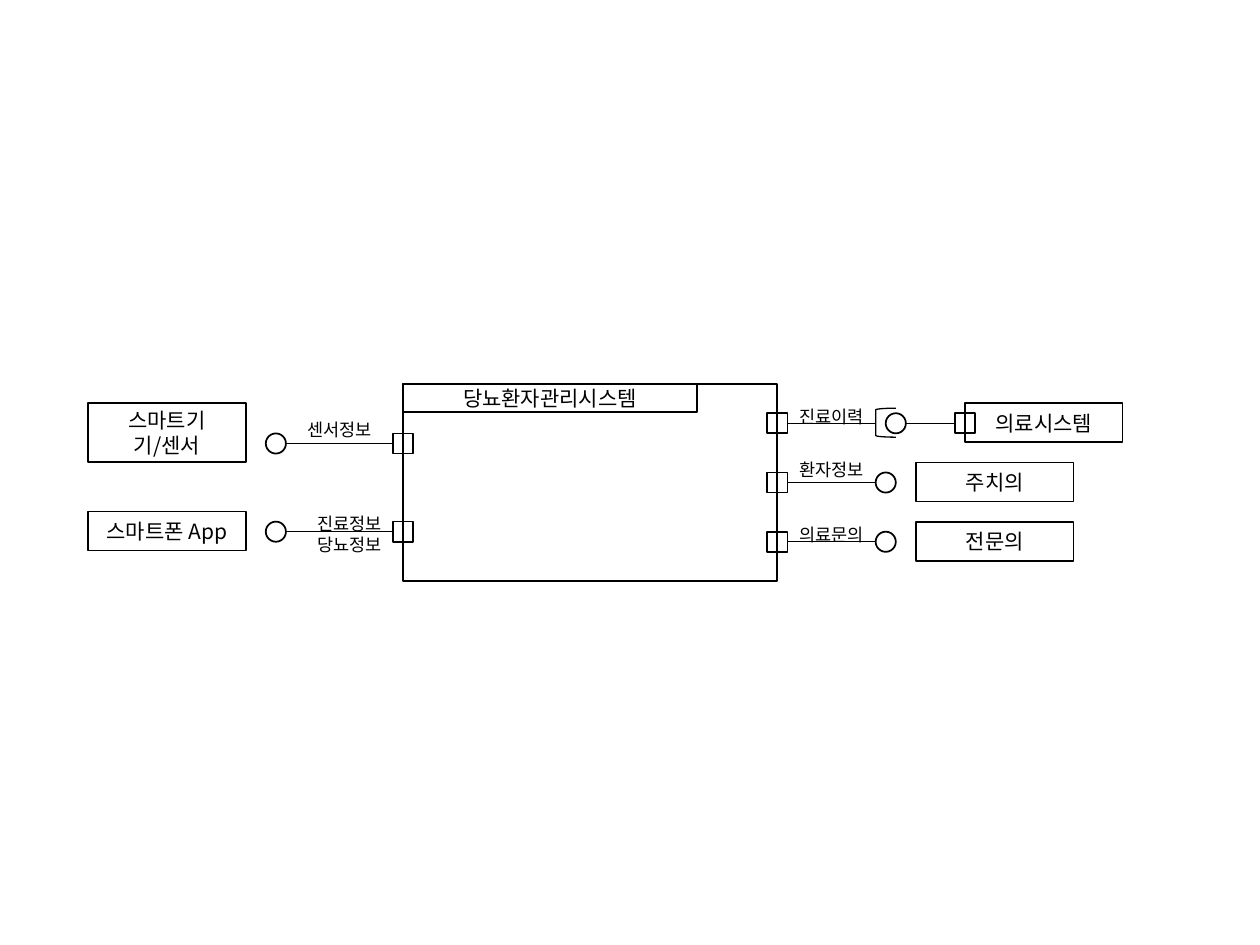
from lxml.etree import SubElement
from pptx import Presentation
from pptx.dml.color import RGBColor
from pptx.enum.shapes import MSO_CONNECTOR as Connector, MSO_SHAPE as Shape
from pptx.enum.text import MSO_ANCHOR as Anchor, MSO_AUTO_SIZE as AutoSize, PP_ALIGN as Align
from pptx.oxml.ns import qn
from pptx.util import Inches, Pt

COLORS = {"ink": "000000"}
FONT = "Noto Sans CJK KR"
NODE = 0.16
LEFT_PORT, RIGHT_PORT = 3.12, 6.09
LEFT_CIRCLE, RIGHT_CIRCLE = 2.11, 6.95


def write_text(frame, text, size=12, align=Align.CENTER, anchor=Anchor.MIDDLE):
    frame.word_wrap = True
    frame.vertical_anchor = anchor
    frame.text = text
    for paragraph in frame.paragraphs:
        paragraph.alignment = align
        for run in paragraph.runs:
            run.font.size = Pt(size)
            run.font.color.rgb = RGBColor.from_string(COLORS["ink"])
            run.font.name = FONT
            SubElement(run.font._element, qn("a:ea"), typeface=FONT)


class Diagram:
    """Draws outlined component-diagram elements on one slide."""

    def __init__(self, slide, color):
        self.shapes = slide.shapes
        self.color = RGBColor.from_string(color)

    def outline(self, kind, left, top, width, height, weight=1):
        shape = self.shapes.add_shape(
            kind, Inches(left), Inches(top), Inches(width), Inches(height))
        shape.shadow.inherit = False
        shape.fill.background()
        shape.line.color.rgb = self.color
        shape.line.width = Pt(weight)
        return shape

    def box(self, text, left, top, width=1.25, height=0.31):
        shape = self.outline(Shape.RECTANGLE, left, top, width, height)
        write_text(shape.text_frame, text)

    def node(self, kind, left, middle):
        self.outline(kind, left, middle - NODE / 2, NODE, NODE)

    def line(self, start, end, middle):
        connector = self.shapes.add_connector(
            Connector.STRAIGHT, Inches(start), Inches(middle), Inches(end), Inches(middle))
        connector.line.color.rgb = self.color
        connector.line.width = Pt(0.75)
        SubElement(connector._element.spPr, qn("a:effectLst"))

    def link(self, circle, port, middle):
        self.node(Shape.OVAL, circle, middle)
        first, second = sorted((circle, port))
        self.line(first + NODE, second, middle)
        self.node(Shape.RECTANGLE, port, middle)

    def label(self, text, left, top, height=0.27):
        box = self.shapes.add_textbox(
            Inches(left), Inches(top), Inches(0.94), Inches(height))
        write_text(box.text_frame, text, size=10, align=Align.LEFT, anchor=Anchor.TOP)
        box.text_frame.auto_size = AutoSize.SHAPE_TO_FIT_TEXT


def main():
    presentation = Presentation()
    presentation.slide_width = Inches(10)
    presentation.slide_height = Inches(7.5)
    slide = presentation.slides.add_slide(presentation.slide_layouts[6])
    diagram = Diagram(slide, COLORS["ink"])

    diagram.outline(Shape.RECTANGLE, 3.2, 3.05, 2.97, 1.56)
    diagram.box("당뇨환자관리시스템", 3.2, 3.05, 2.33, 0.22)

    diagram.box("스마트기기/센서", 0.7, 3.2, height=0.47)
    diagram.box("스마트폰 App", 0.7, 4.06)
    for middle in (3.52, 4.22):
        diagram.link(LEFT_CIRCLE, LEFT_PORT, middle)
    diagram.label("센서정보", 2.34, 3.28)
    diagram.label("진료정보\n당뇨정보", 2.42, 4.02, height=0.44)

    diagram.box("의료시스템", 7.66, 3.2)
    diagram.link(7.03, 7.58, 3.36)
    diagram.node(Shape.RECTANGLE, RIGHT_PORT, 3.36)
    diagram.line(RIGHT_PORT + NODE, RIGHT_CIRCLE, 3.36)
    diagram.outline(Shape.LEFT_BRACKET, RIGHT_CIRCLE, 3.24, NODE, 0.23, weight=0.75)

    for text, middle in (("주치의", 3.83), ("전문의", 4.3)):
        diagram.box(text, 7.27, middle - 0.16)
        diagram.link(RIGHT_CIRCLE, RIGHT_PORT, middle)
    for text, top in (("진료이력", 3.17), ("환자정보", 3.59), ("의료문의", 4.11)):
        diagram.label(text, RIGHT_PORT + NODE, top)

    presentation.save("out.pptx")


if __name__ == "__main__":
    main()
